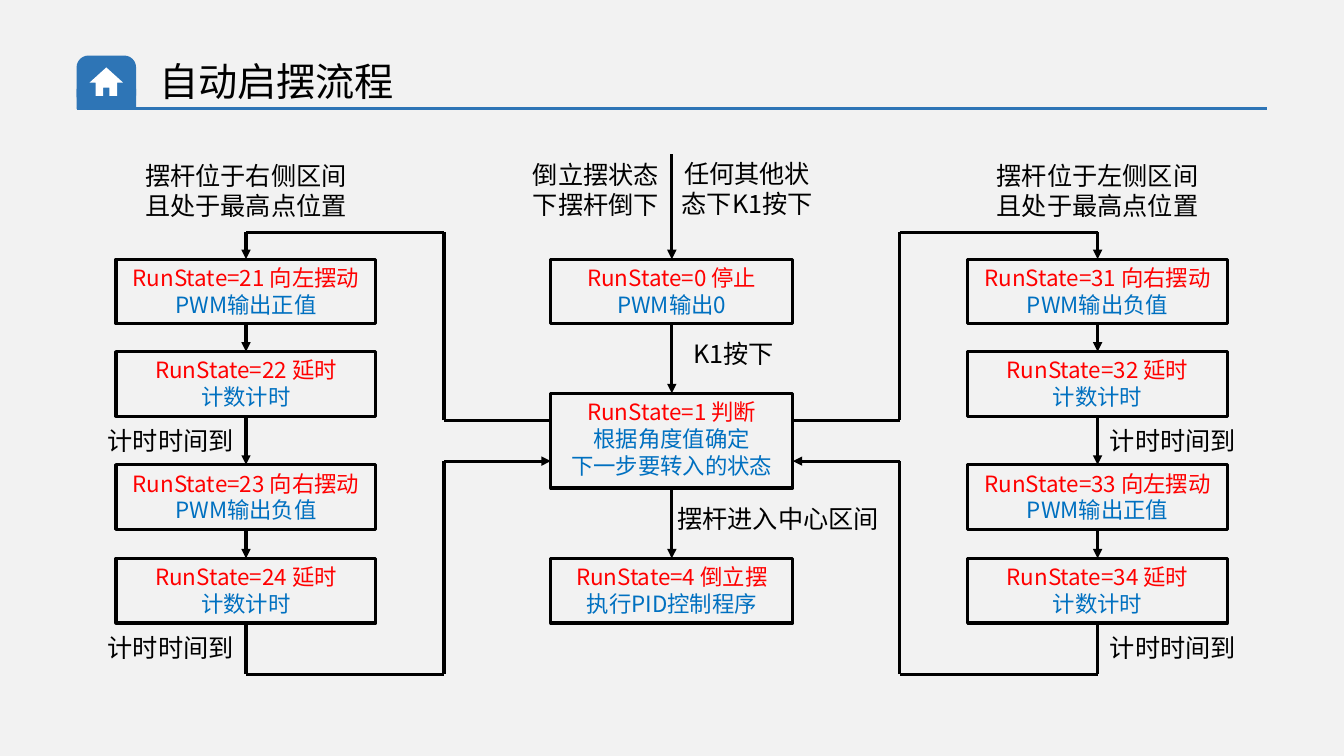
import dataclasses
import typing

import lxml.etree
import pptx
import pptx.dml.color
import pptx.enum.shapes
import pptx.enum.text
import pptx.oxml.ns
import pptx.util

Cm = pptx.util.Cm
Shapes = pptx.enum.shapes.MSO_SHAPE
Align = pptx.enum.text.PP_ALIGN

SANS = "Noto Sans CJK SC"
BLACK, WHITE, RED, BLUE, HEADER_BLUE = "000000", "FFFFFF", "FF0000", "0070C0", "2E75B6"

CENTER = 16.93
COLUMN_OFFSET = 10.73
LANE_OFFSET = 5.74
LABEL_OFFSET = 1.9
SIDE_WIDTH, CENTER_WIDTH = 6.55, 6.1
STATE_HEIGHT, JUDGE_HEIGHT = 1.63, 2.39
ROWS = (6.53, 8.86, 11.71, 14.07)
JUDGE_TOP = 9.91
LOOP_TOP, LOOP_EXIT, LOOP_ENTRY, LOOP_BOTTOM = 5.85, 10.59, 11.62, 16.99


@dataclasses.dataclass
class State:
    number: int
    action: str
    details: tuple[str, ...]
    top: float
    height: float = STATE_HEIGHT


@dataclasses.dataclass
class Label:
    text: str
    center: float
    top: float
    width: float
    height: float
    font: str = SANS


@dataclasses.dataclass
class Branch:
    side: int
    condition: str
    states: tuple[State, ...]


def color(value: str) -> pptx.dml.color.RGBColor:
    return pptx.dml.color.RGBColor.from_string(value)


def add_span(para: typing.Any, text: str, size: float, fill: str, font: str = SANS) -> None:
    span = para.add_run()
    span.text = text
    span.font.size = pptx.util.Pt(size)
    span.font.color.rgb = color(fill)
    span.font.name = font
    east_asian = lxml.etree.SubElement(span.font._element, pptx.oxml.ns.qn("a:ea"))
    east_asian.set("typeface", font)


def prepare_frame(box: typing.Any) -> typing.Any:
    frame = box.text_frame
    frame.word_wrap = True
    frame.auto_size = pptx.enum.text.MSO_AUTO_SIZE.SHAPE_TO_FIT_TEXT
    frame.vertical_anchor = pptx.enum.text.MSO_ANCHOR.TOP
    return frame


def add_label(page: typing.Any, label: Label) -> None:
    box = page.shapes.add_textbox(
        Cm(label.center - label.width / 2), Cm(label.top), Cm(label.width), Cm(label.height)
    )
    para = prepare_frame(box).paragraphs[0]
    para.alignment = Align.CENTER
    add_span(para, label.text, 18, BLACK, label.font)


def add_state(page: typing.Any, state: State, center: float, width: float) -> typing.Any:
    box = page.shapes.add_shape(
        Shapes.RECTANGLE, Cm(center - width / 2), Cm(state.top), Cm(width), Cm(state.height)
    )
    box.shadow.inherit = False
    box.fill.background()
    box.line.color.rgb = color(BLACK)
    box.line.width = pptx.util.Pt(2.25)
    frame = prepare_frame(box)
    for index, text in enumerate((f"RunState={state.number} {state.action}", *state.details)):
        para = frame.add_paragraph() if index else frame.paragraphs[0]
        para.alignment = Align.CENTER
        add_span(para, text, 16, BLUE if index else RED)
    return box


def add_line(
    shapes: typing.Any,
    start: tuple[float, float] = (0, 0),
    end: tuple[float, float] = (0, 0),
    arrow: bool = False,
    source: typing.Any = None,
    target: typing.Any = None,
    stroke: str = BLACK,
) -> None:
    connector = shapes.add_connector(
        pptx.enum.shapes.MSO_CONNECTOR.STRAIGHT, *(Cm(value) for value in (*start, *end))
    )
    if source is not None:
        connector.begin_connect(source, 2)
    if target is not None:
        connector.end_connect(target, 0)
    connector.line.color.rgb = color(stroke)
    connector.line.width = pptx.util.Pt(2.25)
    properties = connector._element.spPr
    if arrow:
        outline = properties.find(pptx.oxml.ns.qn("a:ln"))
        lxml.etree.SubElement(outline, pptx.oxml.ns.qn("a:tailEnd")).set("type", "triangle")
    lxml.etree.SubElement(properties, pptx.oxml.ns.qn("a:effectLst"))


def paint(shape: typing.Any, fill: str) -> None:
    shape.shadow.inherit = False
    shape.fill.solid()
    shape.fill.fore_color.rgb = color(fill)
    shape.line.fill.background()


def add_header(page: typing.Any) -> None:
    title = page.shapes.add_textbox(Cm(3.76), Cm(1.32), Cm(24.23), Cm(1.45))
    add_span(prepare_frame(title).paragraphs[0], "自动启摆流程", 28, BLACK)
    shapes = page.shapes.add_group_shape().shapes
    tab = shapes.add_shape(Shapes.ROUNDED_RECTANGLE, Cm(1.93), Cm(1.4), Cm(1.5), Cm(1.3))
    tab.adjustments[0] = 0.23
    paint(tab, HEADER_BLUE)
    add_line(shapes, (1.93, 2.74), (31.93, 2.74), stroke=HEADER_BLUE)
    paint(shapes.add_shape(Shapes.RECTANGLE, Cm(1.93), Cm(2.24), Cm(1.5), Cm(0.51)), HEADER_BLUE)
    half = [(0, 1.7), (0.42, 2.08), (0.27, 2.08), (0.27, 2.42), (0.08, 2.42), (0.08, 2.21)]
    outline = half + [(-x, y) for x, y in reversed(half[1:])]
    points = [(Cm(2.68 + x), Cm(y)) for x, y in outline]
    house = shapes.build_freeform(*points[0], scale=1.0)
    house.add_line_segments(points[1:], close=True)
    paint(house.convert_to_shape(), WHITE)


def add_branch(page: typing.Any, branch: Branch) -> None:
    column = CENTER + branch.side * COLUMN_OFFSET
    lane = CENTER + branch.side * LANE_OFFSET
    judge_side = CENTER + branch.side * CENTER_WIDTH / 2
    boxes = [add_state(page, state, column, SIDE_WIDTH) for state in branch.states]
    for source, target in zip(boxes, boxes[1:]):
        add_line(page.shapes, arrow=True, source=source, target=target)
    outward = [(judge_side, LOOP_EXIT), (lane, LOOP_EXIT), (lane, LOOP_TOP), (column, LOOP_TOP)]
    inward = [(column, LOOP_BOTTOM), (lane, LOOP_BOTTOM), (lane, LOOP_ENTRY)]
    for route in (outward, inward):
        for start, end in zip(route, route[1:]):
            add_line(page.shapes, start, end)
    add_line(page.shapes, outward[-1], arrow=True, target=boxes[0])
    add_line(page.shapes, end=inward[0], source=boxes[-1])
    add_line(page.shapes, inward[-1], (judge_side, LOOP_ENTRY), arrow=True)
    add_label(page, Label(branch.condition, column, 3.91, 5.61, 1.8))
    for top in (10.59, 15.8):
        add_label(page, Label("计时时间到", column + branch.side * LABEL_OFFSET, top, 4.37, 1.02))


def swing_states(first: int, swings: tuple[str, str], outputs: tuple[str, str]) -> tuple[State, ...]:
    actions = (swings[0], "延时", swings[1], "延时")
    details = (outputs[0], "计数计时", outputs[1], "计数计时")
    return tuple(
        State(first + index, action, (detail,), top)
        for index, (action, detail, top) in enumerate(zip(actions, details, ROWS))
    )


LEFT, RIGHT = "向左摆动", "向右摆动"
POSITIVE, NEGATIVE = "PWM输出正值", "PWM输出负值"
BRANCHES = (
    Branch(-1, "摆杆位于右侧区间且处于最高点位置", swing_states(21, (LEFT, RIGHT), (POSITIVE, NEGATIVE))),
    Branch(1, "摆杆位于左侧区间且处于最高点位置", swing_states(31, (RIGHT, LEFT), (NEGATIVE, POSITIVE))),
)
CENTER_STATES = (
    State(0, "停止", ("PWM输出0",), ROWS[0]),
    State(1, "判断", ("根据角度值确定", "下一步要转入的状态"), JUDGE_TOP, JUDGE_HEIGHT),
    State(4, "倒立摆", ("执行PID控制程序",), ROWS[3]),
)
CENTER_LABELS = (
    Label("倒立摆状态下摆杆倒下", 15.02, 3.89, 4.04, 1.8),
    Label("任何其他状态下K1按下", 18.83, 3.86, 4.04, 1.8),
    Label("K1按下", 18.49, 8.41, 3.45, 1.02),
    Label("摆杆进入中心区间", 19.61, 12.57, 6.1, 1.02, "Arial"),
)


def main() -> None:
    deck = pptx.Presentation()
    deck.slide_width, deck.slide_height = Cm(33.87), Cm(19.05)
    page = deck.slides.add_slide(deck.slide_layouts[6])
    page.background.fill.solid()
    page.background.fill.fore_color.rgb = color("F2F2F2")
    add_header(page)
    boxes = [add_state(page, state, CENTER, CENTER_WIDTH) for state in CENTER_STATES]
    add_line(page.shapes, (CENTER, 3.89), arrow=True, target=boxes[0])
    for source, target in zip(boxes, boxes[1:]):
        add_line(page.shapes, arrow=True, source=source, target=target)
    for branch in BRANCHES:
        add_branch(page, branch)
    for label in CENTER_LABELS:
        add_label(page, label)
    deck.save("out.pptx")


if __name__ == "__main__":
    main()
